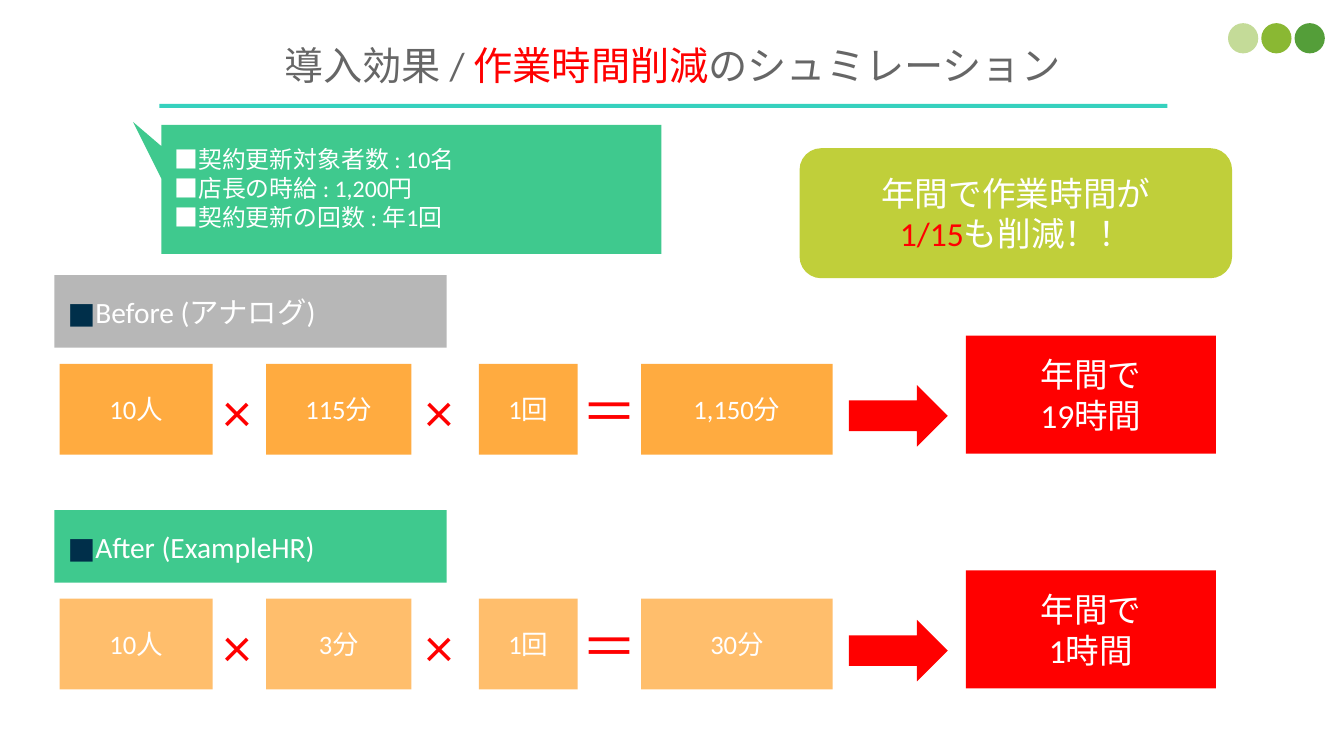
from lxml import etree
from pptx import Presentation
from pptx.dml.color import RGBColor
from pptx.enum.shapes import MSO_SHAPE
from pptx.enum.text import MSO_ANCHOR, PP_ALIGN
from pptx.oxml.ns import qn
from pptx.util import Inches, Pt

RECTANGLE = MSO_SHAPE.RECTANGLE
ROUNDED = MSO_SHAPE.ROUNDED_RECTANGLE
ARROW = MSO_SHAPE.RIGHT_ARROW
OVAL = MSO_SHAPE.OVAL
LEFT, CENTER = PP_ALIGN.LEFT, PP_ALIGN.CENTER
TOP, MIDDLE = MSO_ANCHOR.TOP, MSO_ANCHOR.MIDDLE

FONT = "Calibri"
PADDING = 0.13
COLORS = {
    "white": "FFFFFF", "red": "FF0000", "gray_text": "666666", "navy": "002F4A",
    "gray": "B7B7B7", "green": "3FC98E", "orange": "FFAB40", "lime": "C0CF3A",
    "teal": "36D1BE", "leaf": "8AB833", "forest": "549E39",
}

# Each text is a list of (wording, color) runs
TITLE = [("導入効果 / ", "gray_text"), ("作業時間削減", "red"),
         ("のシュミレーション", "gray_text")]
CONDITIONS = [("■契約更新対象者数 : 10名\n■店長の時給 : 1,200円\n■契約更新の回数 : 年1回", "white")]
HIGHLIGHT = [("年間で作業時間が\n", "white"), ("1/15", "red"), ("も削減！！", "white")]
SCENARIOS = [
    {"label": "Before (アナログ)", "label_color": "gray", "opacity": 100,
     "factors": ["10人", "115分", "1回", "1,150分"], "result": "年間で\n19時間"},
    {"label": "After (ExampleHR)", "label_color": "green", "opacity": 77,
     "factors": ["10人", "3分", "1回", "30分"], "result": "年間で\n1時間"},
]
FACTOR_COLUMNS = [(0.59, 1.52), (2.64, 1.44), (4.75, 0.98), (6.36, 1.9)]  # left, width
OPERATORS = [("×", 2.09), ("×", 4.09), ("＝", 5.64)]  # sign, left
DOTS = [("leaf", 50), ("leaf", 100), ("forest", 100)]  # color, opacity
CALLOUT = [(1.6, 1.24), (6.56, 1.24), (6.56, 2.52), (1.6, 2.52),
           (1.6, 1.77), (1.32, 1.21), (1.6, 1.45)]
SCENARIO_TOP, SCENARIO_STEP = 2.73, 2.33


def rgb(color):
    return RGBColor.from_string(COLORS[color])


def write(shape, runs, size, align=CENTER, anchor=MIDDLE, left_padding=PADDING):
    frame = shape.text_frame
    layout = {"word_wrap": True, "vertical_anchor": anchor,
              "margin_left": Inches(left_padding), "margin_right": Inches(PADDING),
              "margin_top": Inches(PADDING), "margin_bottom": Inches(PADDING)}
    for name, value in layout.items():
        setattr(frame, name, value)
    paragraph = frame.paragraphs[0]
    paragraph.alignment = align
    for wording, color in runs:
        for number, line in enumerate(wording.split("\n")):
            if number:
                paragraph.add_line_break()
            if line:
                run = paragraph.add_run()
                run.text = line
                run.font.name = FONT
                run.font.size = Pt(size)
                run.font.color.rgb = rgb(color)


def paint(shape, color, opacity=100):
    shape.shadow.inherit = False
    shape.line.fill.background()
    shape.fill.solid()
    shape.fill.fore_color.rgb = rgb(color)
    if opacity < 100:
        fill_color = shape.fill._xPr.find(qn("a:solidFill"))[0]
        etree.SubElement(fill_color, qn("a:alpha")).set("val", str(opacity * 1000))


def add_block(slide, kind, box, color, opacity=100):
    shape = slide.shapes.add_shape(kind, *map(Inches, box))
    paint(shape, color, opacity)
    return shape


def add_title(slide):
    title = slide.shapes.title
    place = {"left": 2.69, "top": 0.28, "width": 10.5, "height": 0.74}
    for name, value in place.items():
        setattr(title, name, Inches(value))
    write(title, TITLE, 28, LEFT, TOP)
    add_block(slide, RECTANGLE, (1.58, 1.03, 10, 0.04), "teal")


def add_callout(slide):
    points = [(Inches(x), Inches(y)) for x, y in CALLOUT]
    builder = slide.shapes.build_freeform(*points[0])
    builder.add_line_segments(points[1:], close=True)
    callout = builder.convert_to_shape()
    paint(callout, "green")
    pointer_width = CALLOUT[0][0] - CALLOUT[5][0]
    write(callout, CONDITIONS, 17, LEFT, left_padding=PADDING + pointer_width)


def add_scenario(slide, scenario, top):
    label = add_block(slide, RECTANGLE, (0.54, top, 3.89, 0.72), scenario["label_color"])
    write(label, [("■", "navy"), (scenario["label"], "white")], 21, LEFT)

    factor_top = top + 0.88
    for (left, width), factor in zip(FACTOR_COLUMNS, scenario["factors"]):
        block = add_block(slide, RECTANGLE, (left, factor_top, width, 0.9),
                          "orange", scenario["opacity"])
        write(block, [(factor, "white")], 19)
    for sign, left in OPERATORS:
        box = slide.shapes.add_textbox(*map(Inches, (left, factor_top, 0.76, 0.93)))
        write(box, [(sign, "red")], 40, LEFT, TOP)

    add_block(slide, ARROW, (8.42, top + 1.09, 0.98, 0.61), "red")
    result = add_block(slide, RECTANGLE, (9.58, top + 0.6, 2.48, 1.17), "red")
    write(result, [(scenario["result"], "white")], 24)


def main():
    presentation = Presentation()
    presentation.slide_width = Inches(13.33)
    presentation.slide_height = Inches(7.5)
    slide = presentation.slides.add_slide(presentation.slide_layouts[5])

    for number, (color, opacity) in enumerate(DOTS):
        add_block(slide, OVAL, (12.18 + number * 0.33, 0.23, 0.3, 0.3), color, opacity)
    add_title(slide)
    add_callout(slide)
    for number, scenario in enumerate(SCENARIOS):
        add_scenario(slide, scenario, SCENARIO_TOP + number * SCENARIO_STEP)
    highlight = add_block(slide, ROUNDED, (7.93, 1.47, 4.29, 1.29), "lime")
    write(highlight, HIGHLIGHT, 24)

    presentation.save("out.pptx")


if __name__ == "__main__":
    main()
